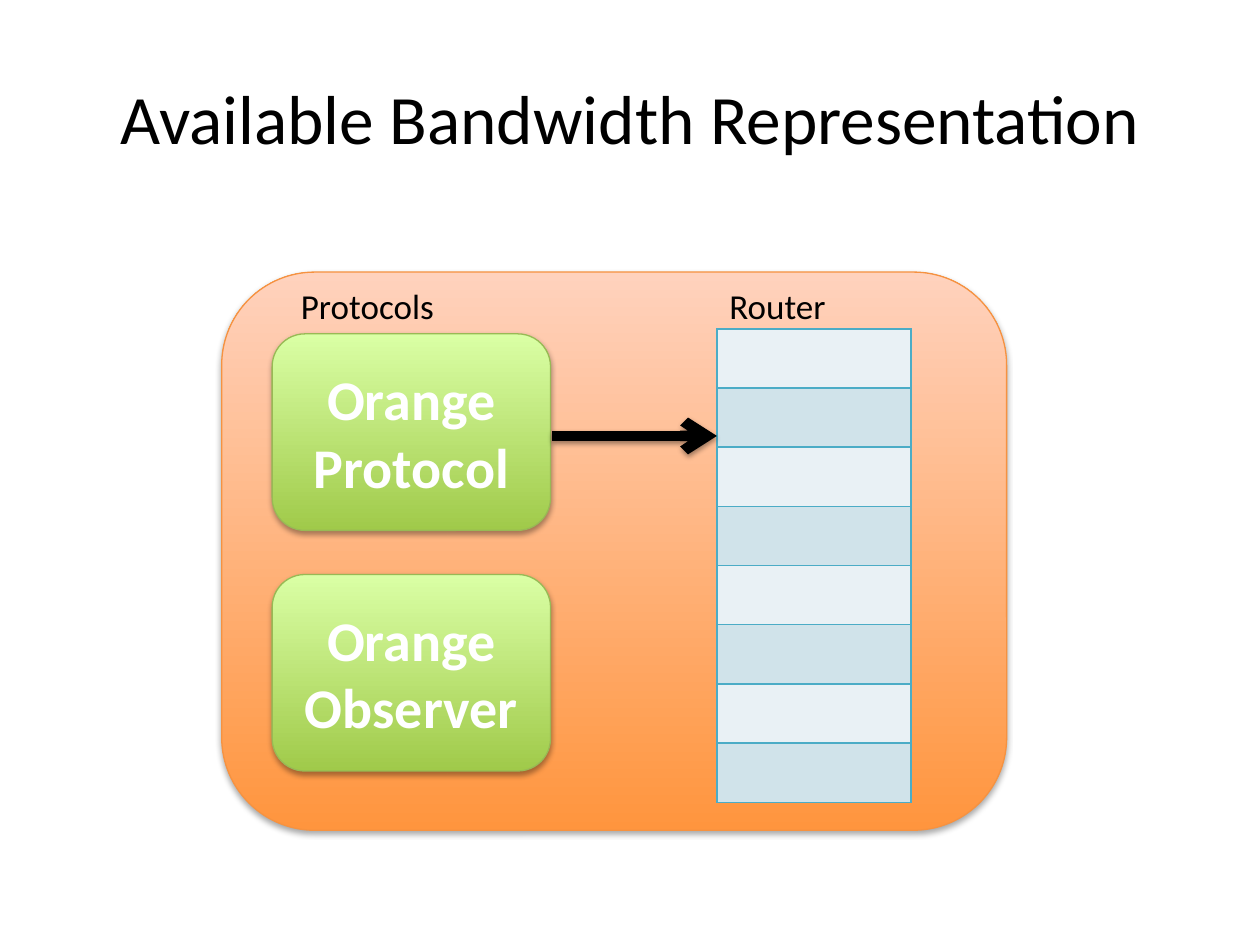
from dataclasses import dataclass

from lxml import etree
from pptx import Presentation
from pptx.dml.color import RGBColor
from pptx.enum.shapes import MSO_CONNECTOR, MSO_SHAPE
from pptx.enum.text import MSO_ANCHOR, MSO_AUTO_SIZE, PP_ALIGN
from pptx.oxml import parse_xml
from pptx.oxml.ns import nsdecls, qn
from pptx.util import Inches, Pt


@dataclass(frozen=True)
class Theme:
    font: str = "Calibri"
    title_size: float = 39.6
    box_size: float = 32
    label_size: float = 20
    ink: str = "000000"
    box_ink: str = "FFFFFF"
    # Gradients run from bottom to top
    orange: tuple = ("FF953E", "FFD2BD")
    orange_line: str = "F69240"
    green: tuple = ("A0CA4A", "DAFFA5")
    green_line: str = "98B955"
    bands: tuple = ("E9F1F5", "D0E3EA")
    grid: str = "4BACC6"


THEME = Theme()


def rgb(value):
    return RGBColor.from_string(value)


def write(frame, text, size, color, bold=False, align=PP_ALIGN.LEFT,
          anchor=MSO_ANCHOR.TOP):
    frame.word_wrap = True
    frame.auto_size = MSO_AUTO_SIZE.NONE
    frame.vertical_anchor = anchor
    paragraph = frame.paragraphs[0]
    paragraph.alignment = align
    run = paragraph.add_run()
    run.text = text
    font = run.font
    font.name, font.size, font.bold = THEME.font, Pt(size), bold
    font.color.rgb = rgb(color)


def add_shadow(shape, alpha, distance):
    properties = shape._element.spPr
    for old in properties.findall(qn("a:effectLst")):
        properties.remove(old)
    properties.append(parse_xml(
        f'<a:effectLst {nsdecls("a")}><a:outerShdw blurRad="{Pt(3.1)}" '
        f'dist="{Pt(distance)}" dir="5400000" rotWithShape="0">'
        f'<a:srgbClr val="000000"><a:alpha val="{alpha * 1000}"/></a:srgbClr>'
        '</a:outerShdw></a:effectLst>'))


def add_panel(slide, left, top, width, height, gradient, line):
    panel = slide.shapes.add_shape(
        MSO_SHAPE.ROUNDED_RECTANGLE, Inches(left), Inches(top),
        Inches(width), Inches(height))
    panel.fill.gradient()
    panel.fill.gradient_angle = 90
    for stop, position, color in zip(panel.fill.gradient_stops, (0, 1), gradient):
        stop.position = position
        stop.color.rgb = rgb(color)
    panel.line.color.rgb = rgb(line)
    panel.line.width = Pt(0.75)
    add_shadow(panel, 35, 1.8)
    return panel


def add_label(slide, text, left, top, width):
    box = slide.shapes.add_textbox(
        Inches(left), Inches(top), Inches(width), Inches(0.44))
    write(box.text_frame, text, THEME.label_size, THEME.ink)


def add_title(slide, text, left, top, width, height):
    title = slide.shapes.title
    title.left, title.top = Inches(left), Inches(top)
    title.width, title.height = Inches(width), Inches(height)
    write(title.text_frame, text, THEME.title_size, THEME.ink,
          align=PP_ALIGN.CENTER, anchor=MSO_ANCHOR.MIDDLE)


def add_protocols(slide, names, left, top):
    """Heading with a column of protocol boxes under it."""
    for index, name in enumerate(names):
        box = add_panel(slide, left, top + 0.49 + index * 1.91, 2.21, 1.56,
                        THEME.green, THEME.green_line)
        write(box.text_frame, name, THEME.box_size, THEME.box_ink, bold=True,
              align=PP_ALIGN.CENTER, anchor=MSO_ANCHOR.MIDDLE)
    add_label(slide, "Protocols", left + 0.13, top + 0.05, 1.73)


def border_cell(cell):
    properties = cell._tc.get_or_add_tcPr()
    for index, side in enumerate(("lnL", "lnR", "lnT", "lnB")):
        properties.insert(index, parse_xml(
            f'<a:{side} {nsdecls("a")} w="{Pt(1)}"><a:solidFill>'
            f'<a:srgbClr val="{THEME.grid}"/></a:solidFill></a:{side}>'))


def add_router(slide, left, top, width, rows=8, row_height=0.47):
    """Heading with a banded stack of slots under it."""
    add_label(slide, "Router", left, top + 0.05, width)
    table = slide.shapes.add_table(
        rows, 1, Inches(left), Inches(top + 0.45), Inches(width),
        Inches(rows * row_height)).table
    for index, row in enumerate(table.rows):
        row.height = Inches(row_height)
        cell = row.cells[0]
        cell.fill.solid()
        cell.fill.fore_color.rgb = rgb(THEME.bands[index % 2])
        border_cell(cell)


def add_arrow(slide, start, end, y):
    arrow = slide.shapes.add_connector(
        MSO_CONNECTOR.STRAIGHT, Inches(start), Inches(y), Inches(end), Inches(y))
    arrow.line.color.rgb = rgb(THEME.ink)
    arrow.line.width = Pt(6)
    etree.SubElement(arrow.line._get_or_add_ln(), qn("a:tailEnd"), type="arrow")
    add_shadow(arrow, 38, 1.6)


def add_diagram(slide, left, top, width, height):
    add_panel(slide, left, top, width, height, THEME.orange, THEME.orange_line)
    add_protocols(slide, ("Orange Protocol", "Orange Observer"), left + 0.4, top)
    add_router(slide, left + 3.93, top, 1.54)
    add_arrow(slide, left + 2.62, left + 3.93, top + 1.3)


# Slide
presentation = Presentation()
presentation.slide_width, presentation.slide_height = Inches(10), Inches(7.5)
slide = presentation.slides.add_slide(presentation.slide_layouts[5])
add_title(slide, "Available Bandwidth Representation", 0.5, 0.3, 9, 1.25)
add_diagram(slide, 1.76, 2.16, 6.23, 4.43)
presentation.save("out.pptx")
